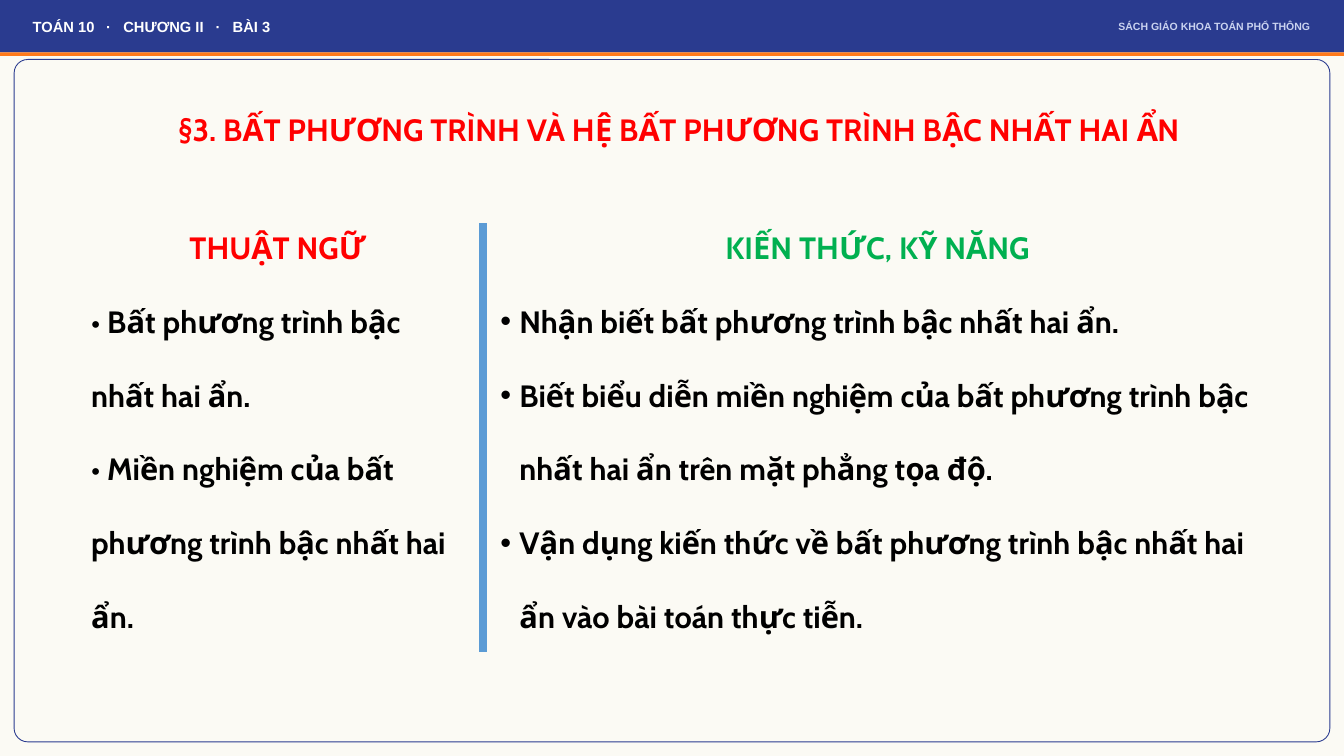
import pptx
import pptx.dml.color
import pptx.enum.shapes
import pptx.enum.text
import pptx.oxml
import pptx.oxml.ns
import pptx.util

Inches = pptx.util.Inches
Shape = pptx.enum.shapes.MSO_SHAPE
Align = pptx.enum.text.PP_ALIGN
Anchor = pptx.enum.text.MSO_ANCHOR

WIDTH, HEIGHT, BAR = 26.67, 15, 1.04
NAVY, RED, GREEN, BLACK = "2A3B8F", "FF0000", "00B050", "000000"
TERMS = [
    "• Bất phương trình bậc nhất hai ẩn.",
    "• Miền nghiệm của bất phương trình bậc nhất hai ẩn.",
]
SKILLS = [
    "Nhận biết bất phương trình bậc nhất hai ẩn.",
    "Biết biểu diễn miền nghiệm của bất phương trình bậc nhất hai ẩn trên mặt phẳng tọa độ.",
    "Vận dụng kiến thức về bất phương trình bậc nhất hai ẩn vào bài toán thực tiễn.",
]


def color(value):
    return pptx.dml.color.RGBColor.from_string(value)


def add_element(parent, tag, **attributes):
    element = pptx.oxml.parse_xml(f"<{tag} {pptx.oxml.ns.nsdecls('a')}/>")
    for name, value in attributes.items():
        element.set(name, str(value))
    parent.append(element)
    return element


def write(para, text, font="Cabin", size=44, fill=BLACK, align=Align.LEFT,
          spacing=None, bullet=False, tabs=()):
    para.alignment = align
    if spacing:
        para.line_spacing = spacing
    properties = para._p.get_or_add_pPr()
    if bullet:
        indent = Inches(0.38)
        properties.set("marL", str(indent))
        properties.set("indent", str(-indent))
        add_element(properties, "a:buFont", typeface="Arial")
        add_element(properties, "a:buChar", char="•")
    if tabs:
        stops = add_element(properties, "a:tabLst")
        for stop in tabs:
            add_element(stops, "a:tab", pos=Inches(stop), algn="l")
    span = para.add_run()
    span.text = text
    span.font.name = font
    span.font.size = pptx.util.Pt(size)
    span.font.bold = True
    span.font.color.rgb = color(fill)


class Lesson:
    """Holds the style and the current page of the lesson deck."""

    def __init__(self, page):
        self.page = page

    def shape(self, kind, left, top, width, height, fill=None, line=None):
        shape = self.page.shapes.add_shape(
            kind, Inches(left), Inches(top), Inches(width), Inches(height))
        shape.shadow.inherit = False
        if fill:
            shape.fill.solid()
            shape.fill.fore_color.rgb = color(fill)
        else:
            shape.fill.background()
        if line:
            shape.line.color.rgb = color(line)
            shape.line.width = pptx.util.Pt(1.25)
        else:
            shape.line.fill.background()
        return shape

    def box(self, left, top, width, height, anchor=Anchor.TOP):
        box = self.page.shapes.add_textbox(
            Inches(left), Inches(top), Inches(width), Inches(height))
        frame = box.text_frame
        frame.word_wrap = True
        frame.vertical_anchor = anchor
        return frame

    def label(self, left, top, width, height, text, **style):
        frame = self.box(left, top, width, height, Anchor.MIDDLE)
        frame.margin_top = frame.margin_bottom = 0
        write(frame.paragraphs[0], text, **style)

    def column(self, left, width, heading, fill, items, bullet=False):
        frame = self.box(left, 3.75, width, 9.18)
        write(frame.paragraphs[0], heading, fill=fill, align=Align.CENTER, spacing=2.0)
        for item in items:
            write(frame.add_paragraph(), item, spacing=2.0, bullet=bullet)

    def divider(self, left, top, bottom):
        line = self.page.shapes.add_connector(
            pptx.enum.shapes.MSO_CONNECTOR.STRAIGHT,
            Inches(left), Inches(top), Inches(left), Inches(bottom))
        line.line.color.rgb = color("5B9BD5")
        line.line.width = pptx.util.Pt(12)
        add_element(line._element.spPr, "a:effectLst")


def main():
    deck = pptx.Presentation()
    deck.slide_width, deck.slide_height = Inches(WIDTH), Inches(HEIGHT)
    lesson = Lesson(deck.slides.add_slide(deck.slide_layouts[6]))

    lesson.shape(Shape.RECTANGLE, 0, 0, WIDTH, HEIGHT, fill="FBFAF4")
    lesson.label(1.78, 1.74, 23.4, 1.51,
                 "§3. BẤT PHƯƠNG TRÌNH VÀ HỆ BẤT PHƯƠNG TRÌNH BẬC NHẤT HAI ẨN",
                 fill=RED, align=Align.CENTER, spacing=1.2)
    lesson.column(1.71, 7.61, "THUẬT NGỮ", RED, TERMS)
    lesson.column(9.83, 15.17, "KIẾN THỨC, KỸ NĂNG", GREEN, SKILLS, bullet=True)
    lesson.divider(9.58, 4.43, 12.93)
    border = lesson.shape(Shape.ROUNDED_RECTANGLE, 0.28, 1.18, 26.11, 13.54, line=NAVY)
    border.adjustments[0] = 0.02

    lesson.shape(Shape.RECTANGLE, 0, 0, WIDTH, BAR, fill=NAVY)
    lesson.shape(Shape.RECTANGLE, 0, BAR, WIDTH, 0.07, fill="FF7A1A")
    lesson.label(0.55, 0, 13, BAR, "TOÁN 10\t·\tCHƯƠNG II\t·\tBÀI 3", font="Arial",
                 size=21, fill="FFFFFF", tabs=(1.46, 1.8, 3.63, 3.97))
    lesson.label(13, 0, 13.1, BAR, "SÁCH GIÁO KHOA TOÁN PHỔ THÔNG", font="Arial",
                 size=15, fill="CAD3F0", align=Align.RIGHT)
    deck.save("out.pptx")


if __name__ == "__main__":
    main()
